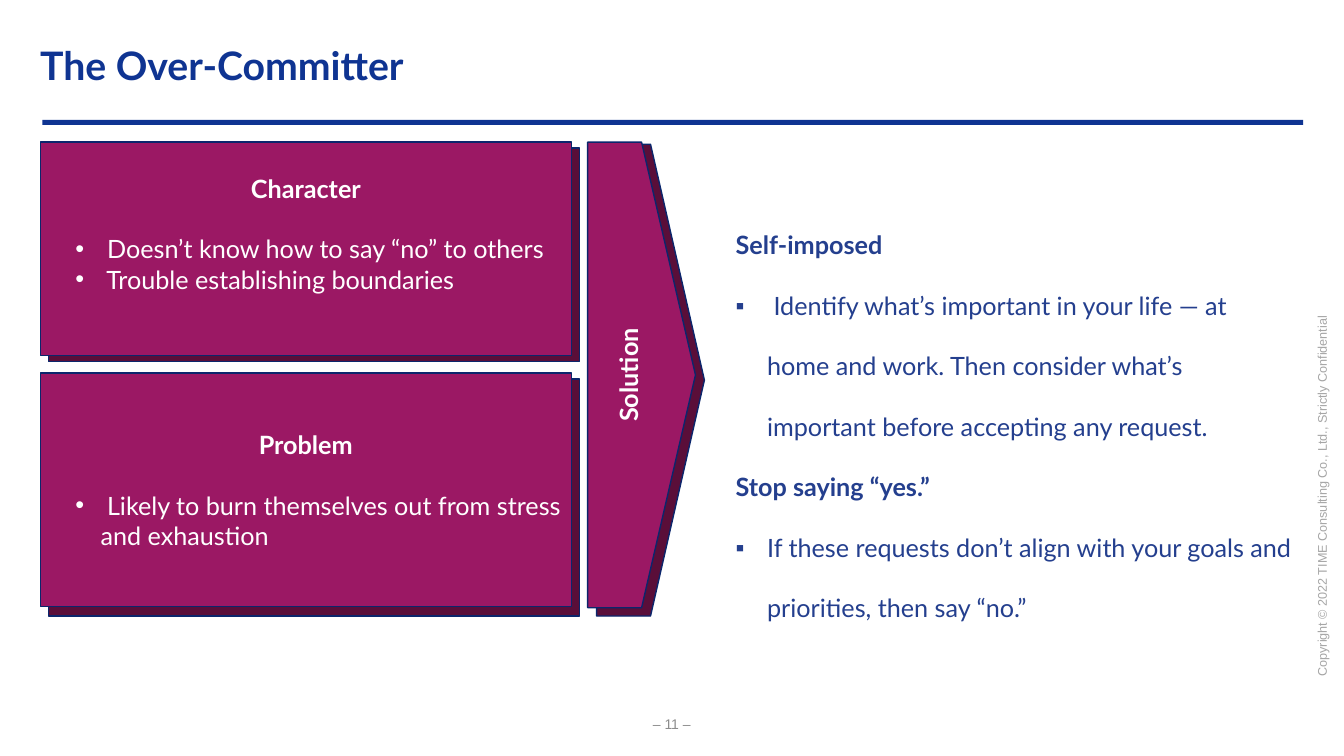
from lxml.etree import SubElement
from pptx import Presentation
from pptx.dml.color import RGBColor
from pptx.enum.shapes import MSO_SHAPE
from pptx.enum.text import MSO_ANCHOR, PP_ALIGN
from pptx.oxml.ns import qn
from pptx.util import Pt

COLORS = {
    "title": "0F3492",
    "advice": "243F8E",
    "panel": "9B1864",
    "panel_shadow": "5A0E39",
    "outline": "0B266C",
    "white": "FFFFFF",
    "page_number": "8C8C8C",
    "copyright": "A6A6A6",
}


class SlideBuilder:
    def __init__(self, slide, font="Lato", size=18):
        self.slide = slide
        self.font = font
        self.size = size

    def color(self, name):
        return RGBColor.from_string(COLORS[name])

    def shape(self, preset, box, fill, outline=None):
        shape = self.slide.shapes.add_shape(preset, *map(Pt, box))
        shape.shadow.inherit = False
        shape.fill.solid()
        shape.fill.fore_color.rgb = self.color(fill)
        if outline:
            shape.line.color.rgb = self.color(outline)
            shape.line.width = Pt(1)
        else:
            shape.line.fill.background()
        return shape

    def block(self, preset, box, shadow_box):
        """Add a panel over its offset dark shadow and return its text frame."""
        self.shape(preset, shadow_box, "panel_shadow", "outline")
        frame = self.shape(preset, box, "panel", "outline").text_frame
        frame.word_wrap = True
        frame.vertical_anchor = MSO_ANCHOR.MIDDLE
        return frame

    def text_box(self, box, anchor=MSO_ANCHOR.TOP, rotation=0):
        shape = self.slide.shapes.add_textbox(*map(Pt, box))
        shape.rotation = rotation
        shape.text_frame.word_wrap = True
        shape.text_frame.vertical_anchor = anchor
        return shape.text_frame

    def paragraph(self, frame, text, color, bold=False, align=PP_ALIGN.LEFT,
                  size=None, font=None, spacing=None, after=0, bullet=None):
        """Append a paragraph; bullet is (character, margin, hanging)."""
        paragraph = frame.paragraphs[0]
        if paragraph.runs:
            paragraph = frame.add_paragraph()
        if bullet:
            self.bullet(paragraph, color, *bullet)
        paragraph.alignment = align
        if spacing:
            paragraph.line_spacing = spacing
        if after:
            paragraph.space_after = Pt(after)
        run = paragraph.add_run()
        run.text = text
        run.font.name = font or self.font
        run.font.size = Pt(size or self.size)
        run.font.bold = bold
        run.font.color.rgb = self.color(color)

    def bullet(self, paragraph, color, character, margin, hanging):
        properties = paragraph._p.get_or_add_pPr()
        properties.set("marL", str(Pt(margin)))
        properties.set("indent", str(-Pt(hanging)))
        bullet_color = SubElement(properties, qn("a:buClr"))
        SubElement(bullet_color, qn("a:srgbClr"), val=COLORS[color])
        SubElement(properties, qn("a:buFont"), typeface="Arial")
        SubElement(properties, qn("a:buChar"), char=character)


def add_frame(builder):
    """Add the page number, title rule, copyright line and title."""
    page_number = builder.text_box((444.2, 509.8, 71.3, 15.1), MSO_ANCHOR.MIDDLE)
    builder.paragraph(page_number, "– 11 –", "page_number",
                      align=PP_ALIGN.CENTER, size=10, font="Arial")
    builder.shape(MSO_SHAPE.RECTANGLE, (30.2, 85.7, 900.7, 3.6), "title")
    notice = builder.text_box((802.1, 339.1, 284.4, 18), rotation=270)
    builder.paragraph(
        notice, "Copyright © 2022 TIME Consulting Co., Ltd., Strictly Confidential",
        "copyright", size=9, font="Arial")
    title = builder.text_box((21.6, 13, 918, 61.9), MSO_ANCHOR.MIDDLE)
    builder.paragraph(title, "The Over-Committer", "title", bold=True,
                      size=28, spacing=1.14)


def add_advice(builder):
    advice = [
        ("Self-imposed",
         " Identify what’s important in your life — at home and work. "
         "Then consider what’s important before accepting any request."),
        ("Stop saying “yes.”",
         "If these requests don’t align with your goals and priorities, "
         "then say “no.”"),
    ]
    frame = builder.text_box((518.4, 139, 412.6, 263.5))
    for heading, detail in advice:
        builder.paragraph(frame, heading, "advice", bold=True, spacing=2)
        builder.paragraph(frame, detail, "advice", spacing=2,
                          bullet=("▪", 22.5, 22.5))


def add_panels(builder):
    left, width, line_height = 28.8, 379.4, 21.6
    # heading, top, height, shadow top, shadow height, bottom inset, bullets
    panels = [
        ("Character", 101.5, 152.6, 105.8, 152.6, 3.6 + line_height,
         [" Doesn’t know how to say “no” to others",
          " Trouble establishing boundaries"]),
        ("Problem", 266.4, 167, 270.7, 169.2, 3.6,
         [" Likely to burn themselves out from stress and exhaustion"]),
    ]
    for heading, top, height, shadow_top, shadow_height, inset, points in panels:
        frame = builder.block(MSO_SHAPE.RECTANGLE, (left, top, width, height),
                              (left + 5.8, shadow_top, width, shadow_height))
        frame.margin_bottom = Pt(inset)
        builder.paragraph(frame, heading, "white", bold=True,
                          align=PP_ALIGN.CENTER, after=line_height)
        for point in points:
            builder.paragraph(frame, point, "white", bullet=("•", 36, 18))

    solution = builder.block(MSO_SHAPE.PENTAGON, (419.8, 101.5, 77, 332.6),
                             (426.2, 103, 77, 337))
    solution._txBody.bodyPr.set("vert", "vert270")
    builder.paragraph(solution, "Solution", "white", bold=True,
                      align=PP_ALIGN.CENTER)


def main():
    presentation = Presentation()
    presentation.slide_width = Pt(960)
    presentation.slide_height = Pt(540)
    slide = presentation.slides.add_slide(presentation.slide_layouts[6])
    builder = SlideBuilder(slide)
    add_frame(builder)
    add_advice(builder)
    add_panels(builder)
    presentation.save("out.pptx")


if __name__ == "__main__":
    main()
